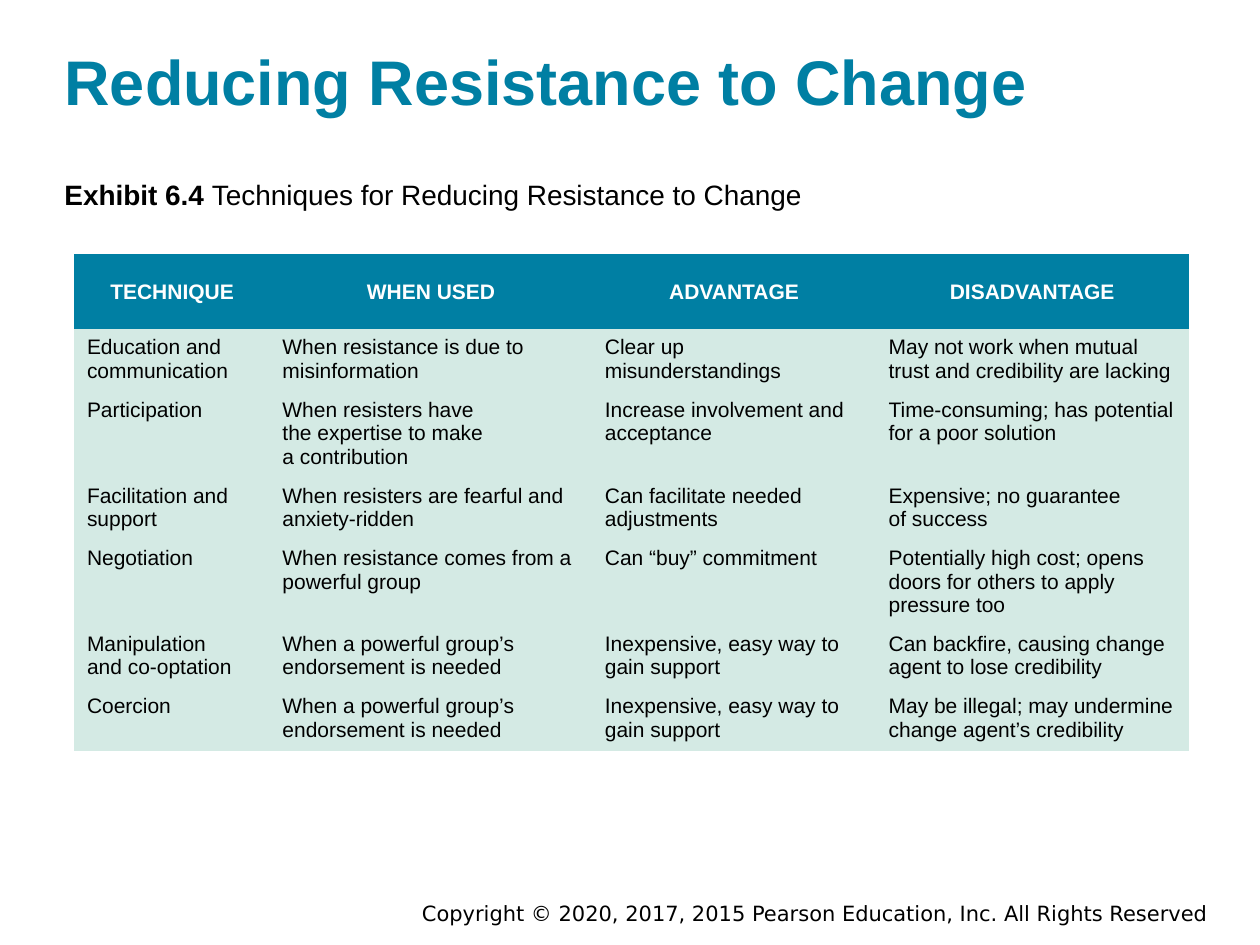
import pptx
import pptx.util
import pptx.dml.color
import pptx.enum.text
import pptx.oxml.ns
from lxml import etree

Cm, Pt = pptx.util.Cm, pptx.util.Pt
Align = pptx.enum.text.PP_ALIGN
Anchor = pptx.enum.text.MSO_ANCHOR

TEAL, MINT, WHITE, BLACK = "007FA3", "D4EAE4", "FFFFFF", "000000"
PLAIN = "{2D5ABB26-0587-4C30-8999-92F81FD0307C}"  # no style, no grid

TITLE = "Reducing Resistance to Change"
LABEL = "Exhibit 6.4 "
TOPIC = "Techniques for Reducing Resistance to Change"
RIGHTS = "Copyright © 2020, 2017, 2015 Pearson Education, Inc. All Rights Reserved"
HEADS = ("TECHNIQUE", "WHEN USED", "ADVANTAGE", "DISADVANTAGE")
WIDTHS = (3.94, 6.5, 5.72, 6.3)
TALL, BASE, LINE = 1.52, 0.32, 0.47  # head row; row padding; text line
# Number of text lines, then the cells of each row
ROWS = [
    (2, "Education and\ncommunication",
     "When resistance is due to misinformation",
     "Clear up misunderstandings",
     "May not work when mutual trust and credibility are lacking"),
    (3, "Participation",
     "When resisters have\nthe expertise to make\na contribution",
     "Increase involvement and\nacceptance",
     "Time-consuming; has potential for a poor solution"),
    (2, "Facilitation and support",
     "When resisters are fearful and anxiety-ridden",
     "Can facilitate needed\nadjustments",
     "Expensive; no guarantee\nof success"),
    (3, "Negotiation",
     "When resistance comes from a powerful group",
     "Can “buy” commitment",
     "Potentially high cost; opens doors for others to apply pressure too"),
    (2, "Manipulation\nand co-optation",
     "When a powerful group’s\nendorsement is needed",
     "Inexpensive, easy way to gain support",
     "Can backfire, causing change agent to lose credibility"),
    (2, "Coercion",
     "When a powerful group’s endorsement is needed",
     "Inexpensive, easy way to gain support",
     "May be illegal; may undermine change agent’s credibility"),
]


def paint(part, color):
    """Give a fill or font a solid colour."""
    if hasattr(part, "solid"):
        part.solid()
        part.fore_color.rgb = pptx.dml.color.RGBColor.from_string(color)
    else:
        part.color.rgb = pptx.dml.color.RGBColor.from_string(color)


def style(frame, size, color, bold=False, align=Align.LEFT, face="Arial"):
    for para in frame.paragraphs:
        para.alignment = align
        para.space_before = Pt(0)
        for run in para.runs:
            run.font.name, run.font.size, run.font.bold = face, Pt(size), bold
            paint(run.font, color)


def place(shape, left, top, width, height, anchor=Anchor.TOP):
    shape.left, shape.top = Cm(left), Cm(top)
    shape.width, shape.height = Cm(width), Cm(height)
    frame = shape.text_frame
    frame.word_wrap = True
    frame.auto_size = pptx.enum.text.MSO_AUTO_SIZE.NONE
    frame.vertical_anchor = anchor
    frame.margin_left = frame.margin_right = 0
    frame.margin_top = frame.margin_bottom = Cm(0.05)
    return frame


def fill_row(table, index, height, texts, back, **look):
    table.rows[index].height = Cm(height)
    for cell, text in zip(table.rows[index].cells, texts):
        cell.text_frame.text = text
        paint(cell.fill, back)
        style(cell.text_frame, 12, **look)
        if index == 0:
            cell.vertical_anchor = Anchor.MIDDLE


deck = pptx.Presentation()
deck.slide_width, deck.slide_height = Cm(25.4), Cm(19.05)
slide = deck.slides.add_slide(deck.slide_layouts[1])
title, body = slide.placeholders

frame = place(title, 1.3, 0.79, 23.01, 1.65, Anchor.BOTTOM)
frame.text = TITLE
style(frame, 36, TEAL, bold=True)

frame = place(body, 1.3, 3.53, 23.01, 0.79)
para = frame.paragraphs[0]
props = para._p.get_or_add_pPr()
props.set("marL", "0")
props.set("indent", "0")
etree.SubElement(props, pptx.oxml.ns.qn("a:buNone"))
for text in (LABEL, TOPIC):
    para.add_run().text = text
style(frame, 16, BLACK)
para.runs[0].font.bold = True

heights = [BASE + LINE * row[0] for row in ROWS]
table = slide.shapes.add_table(
    len(ROWS) + 1, len(HEADS), Cm(1.5), Cm(5.12),
    Cm(sum(WIDTHS)), Cm(TALL + sum(heights))).table
table.horz_banding = False
table._tbl.tblPr.find(pptx.oxml.ns.qn("a:tableStyleId")).text = PLAIN
for column, width in zip(table.columns, WIDTHS):
    column.width = Cm(width)
fill_row(table, 0, TALL, HEADS, TEAL, color=WHITE, bold=True, align=Align.CENTER)
for index, (row, height) in enumerate(zip(ROWS, heights), 1):
    fill_row(table, index, height, row[1:], MINT, color=BLACK)

frame = place(slide.shapes.add_textbox(0, 0, 0, 0), 7.42, 18.11, 16.94, 0.61)
frame.text = RIGHTS
style(frame, 12, BLACK, align=Align.RIGHT, face="DejaVu Sans")

deck.save("out.pptx")
